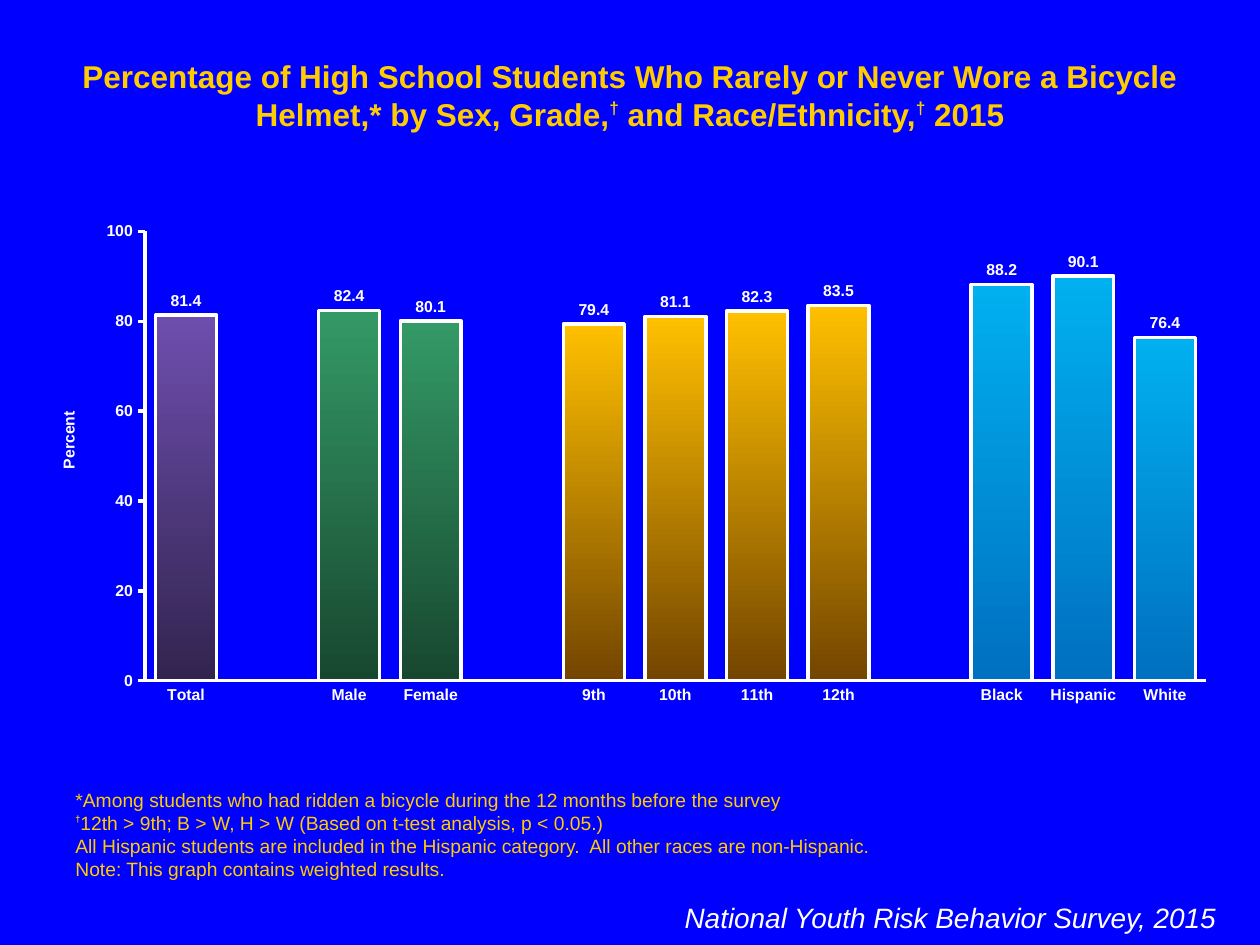
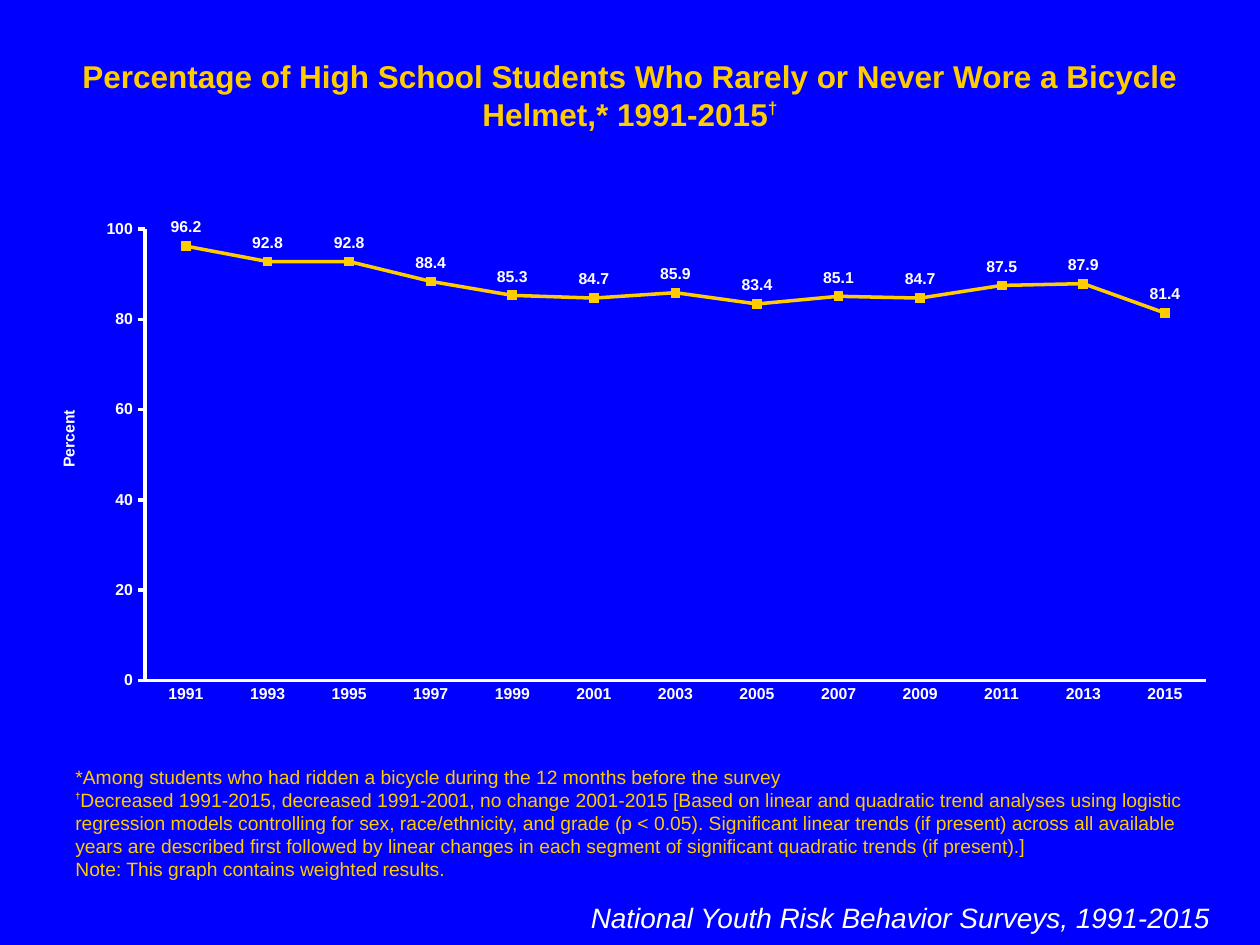
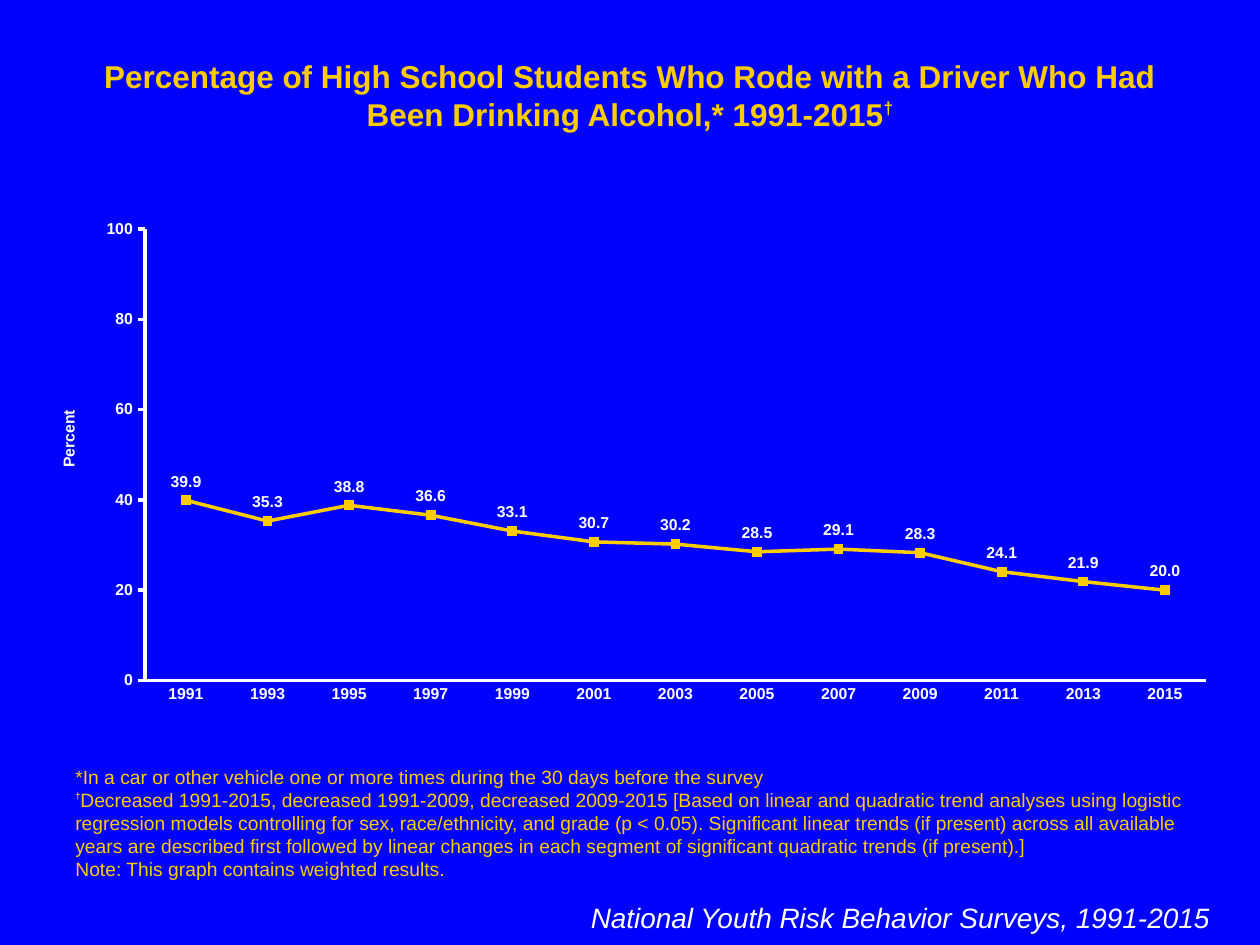
from pptx import Presentation
from pptx.chart.data import CategoryChartData
from pptx.dml.color import RGBColor
from pptx.enum.chart import (XL_CHART_TYPE, XL_LABEL_POSITION,
                             XL_MARKER_STYLE, XL_TICK_MARK)
from pptx.enum.text import MSO_ANCHOR, MSO_AUTO_SIZE, PP_ALIGN
from pptx.oxml import parse_xml
from pptx.oxml.ns import nsdecls, qn
from pptx.util import Pt

BLUE = RGBColor(0x00, 0x00, 0xFF)
GOLD = RGBColor(0xFF, 0xCC, 0x00)
WHITE = RGBColor(0xFF, 0xFF, 0xFF)
PURPLE = RGBColor(0x6E, 0x4E, 0xAE), RGBColor(0x32, 0x24, 0x4F)
GREEN = RGBColor(0x33, 0x99, 0x66), RGBColor(0x18, 0x47, 0x2F)
AMBER = RGBColor(0xFF, 0xC0, 0x00), RGBColor(0x73, 0x45, 0x00)
SKY = RGBColor(0x00, 0xB0, 0xF0), RGBColor(0x00, 0x70, 0xC0)

COLUMN = XL_CHART_TYPE.COLUMN_CLUSTERED
LINE = XL_CHART_TYPE.LINE_MARKERS
ABOVE = XL_LABEL_POSITION.ABOVE
OUTER = XL_LABEL_POSITION.OUTSIDE_END
SQUARE = XL_MARKER_STYLE.SQUARE
NO_TICK, OUT_TICK = XL_TICK_MARK.NONE, XL_TICK_MARK.OUTSIDE
TOP, BOTTOM = MSO_ANCHOR.TOP, MSO_ANCHOR.BOTTOM
GROW = MSO_AUTO_SIZE.SHAPE_TO_FIT_TEXT
CENTER, RIGHT = PP_ALIGN.CENTER, PP_ALIGN.RIGHT

FONT = "Arial"
TITLE_BOX = 36, 28.8, 648, 28.8
NOTE_BOX = 36, 486, 648, 20.88
BAR_BOX = 18, 121.68, 684, 286.56
LINE_BOX = 18, 120.24, 684, 288
BAR_SOURCE = 306, 511.2, 396, 26.64
LINE_SOURCE = 326.2, 511.2, 372.2, 26.64

GROUPS = [
    (PURPLE, [("Total", 81.4)]),
    (GREEN, [("Male", 82.4), ("Female", 80.1)]),
    (AMBER, [("9th", 79.4), ("10th", 81.1), ("11th", 82.3), ("12th", 83.5)]),
    (SKY, [("Black", 88.2), ("Hispanic", 90.1), ("White", 76.4)]),
]
YEARS = [str(year) for year in range(1991, 2016, 2)]
HELMET = [96.2, 92.8, 92.8, 88.4, 85.3, 84.7, 85.9,
          83.4, 85.1, 84.7, 87.5, 87.9, 81.4]
DRIVER = [39.9, 35.3, 38.8, 36.6, 33.1, 30.7, 30.2,
          28.5, 29.1, 28.3, 24.1, 21.9, 20.0]

HEAD = "Percentage of High School Students Who "
WORE = HEAD + "Rarely or Never Wore a Bicycle Helmet,* "
RODE = HEAD + "Rode with a Driver Who Had Been Drinking Alcohol,* "
RIDERS = ("*Among students who had ridden a bicycle during "
          "the 12 months before the survey")
CAR = ("*In a car or other vehicle one or more times during "
       "the 30 days before the survey")
WEIGHTED = "Note: This graph contains weighted results."
METHOD = (" [Based on linear and quadratic trend analyses using logistic "
          "regression models controlling for sex, race/ethnicity, and grade "
          "(p < 0.05). Significant linear trends (if present) across all "
          "available years are described first followed by linear changes in "
          "each segment of significant quadratic trends (if present).]")


def style(font, size, color, bold=False, italic=False):
    font.name = FONT
    font.size = Pt(size)
    font.color.rgb = color
    font.bold = bold
    font.italic = italic


def add_run(para, text, size, bold, base=0):
    run = para.add_run()
    run.text = text
    style(run.font, size, GOLD, bold)
    if base:
        run._r.get_or_add_rPr().set("baseline", str(base * 1000))


def write(para, text, size, bold, mark_size, base):
    if "†" not in text:
        para.text = text
        style(para.font, size, GOLD, bold)
        return
    for i, part in enumerate(text.split("†")):
        if i:
            add_run(para, "†", mark_size, True, base)
        if part:
            add_run(para, part, size, bold)


def add_title(slide, box, text):
    title = slide.shapes.title
    title.left, title.top, title.width, title.height = map(Pt, box)
    frame = title.text_frame
    frame.vertical_anchor = TOP
    frame.auto_size = GROW
    para = frame.paragraphs[0]
    para.alignment = CENTER
    write(para, text, 18, True, 17, 40)


def add_box(slide, box):
    frame = slide.shapes.add_textbox(*map(Pt, box)).text_frame
    frame.word_wrap = True
    frame.auto_size = GROW
    return frame


def add_notes(slide, box, lines):
    frame = add_box(slide, box)
    frame.vertical_anchor = BOTTOM
    for i, line in enumerate(lines):
        para = frame.add_paragraph() if i else frame.paragraphs[0]
        write(para, line, 11, False, 9, 50)


def add_source(slide, box, text):
    para = add_box(slide, box).paragraphs[0]
    para.text = text
    para.alignment = RIGHT
    style(para.font, 16, WHITE, italic=True)


def set_layout(parent, index, inner="", **parts):
    for old in parent.findall(qn("c:layout")):
        parent.remove(old)
    modes = "".join(f'<c:{k}Mode val="edge"/>' for k in "xy")
    sizes = "".join(f'<c:{k} val="{v}"/>' for k, v in parts.items())
    parent.insert(index, parse_xml(
        f'<c:layout {nsdecls("c")}><c:manualLayout>'
        f'{inner}{modes}{sizes}</c:manualLayout></c:layout>'))


def set_axis(axis, tick):
    axis.has_major_gridlines = False
    axis.major_tick_mark = tick
    axis.minor_tick_mark = NO_TICK
    axis.format.line.color.rgb = WHITE
    axis.format.line.width = Pt(2)
    style(axis.tick_labels.font, 9, WHITE, True)


def add_chart(slide, box, kind, names, values, spot):
    data = CategoryChartData()
    data.categories = names
    data.add_series("Series 1", values)
    chart = slide.shapes.add_chart(kind, *map(Pt, box), data).chart
    chart.has_title = chart.has_legend = False
    style(chart.font, 18, WHITE)
    set_axis(chart.category_axis, NO_TICK)
    axis = chart.value_axis
    set_axis(axis, OUT_TICK)
    axis.minimum_scale, axis.maximum_scale, axis.major_unit = 0, 100, 20
    axis.tick_labels.number_format = "#,##0"
    axis.tick_labels.number_format_is_linked = False
    para = axis.axis_title.text_frame.paragraphs[0]
    para.text = "Percent"
    style(para.font, 9, WHITE, True)
    area = chart._chartSpace.find(".//" + qn("c:plotArea"))
    title = area.find(".//" + qn("c:title"))
    title.find(".//" + qn("a:bodyPr")).set("rot", "-5400000")
    set_layout(title, 1, x=0.02, y=0.39)
    set_layout(area, 0, '<c:layoutTarget val="inner"/>',
               x=0.095, y=0.037, w=0.886, h=0.896)
    plot = chart.plots[0]
    plot.vary_by_categories = False
    plot.has_data_labels = True
    labels = plot.data_labels
    labels.show_value = True
    labels.number_format = "#,##0.0"
    labels.number_format_is_linked = False
    labels.position = spot
    style(labels.font, 9, WHITE, True)
    return plot


def add_bars(slide, box):
    bars = []
    for shade, group in GROUPS:
        if bars:
            bars.append(("", None, None))
        bars += [(name, value, shade) for name, value in group]
    names, values, shades = zip(*bars)
    plot = add_chart(slide, box, COLUMN, names, values, OUTER)
    plot.gap_width, plot.overlap = 34, 100
    series = plot.series[0]
    series.invert_if_negative = False
    for i, shade in enumerate(shades):
        if shade:
            form = series.points[i].format
            form.fill.gradient()
            form.fill.gradient_angle = 270
            for stop, color in zip(form.fill.gradient_stops, shade):
                stop.color.rgb = color
            form.line.color.rgb = WHITE
            form.line.width = Pt(2)


def add_trend(slide, box, values):
    series = add_chart(slide, box, LINE, YEARS, values, ABOVE).series[0]
    series.smooth = False
    series.format.line.color.rgb = GOLD
    series.format.line.width = Pt(2)
    mark = series.marker
    mark.style, mark.size = SQUARE, 5
    mark.format.fill.solid()
    mark.format.fill.fore_color.rgb = GOLD
    mark.format.line.color.rgb = GOLD


def add_slide(deck, title, notes, box, source):
    slide = deck.slides.add_slide(deck.slide_layouts[5])
    add_title(slide, TITLE_BOX, title)
    add_notes(slide, NOTE_BOX, notes + [WEIGHTED])
    add_source(slide, box, source)
    return slide


def add_trend_slide(deck, title, note, change, values):
    slide = add_slide(deck, title + "1991-2015†",
                      [note, "†Decreased 1991-2015, " + change + METHOD],
                      LINE_SOURCE,
                      "National Youth Risk Behavior Surveys, 1991-2015")
    add_trend(slide, LINE_BOX, values)


def main():
    deck = Presentation()
    deck.slide_width, deck.slide_height = Pt(720), Pt(540)
    fill = deck.slide_master.background.fill
    fill.solid()
    fill.fore_color.rgb = BLUE
    slide = add_slide(
        deck, WORE + "by Sex, Grade,† and Race/Ethnicity,† 2015",
        [RIDERS,
         "†12th > 9th; B > W, H > W (Based on t-test analysis, p < 0.05.)",
         "All Hispanic students are included in the Hispanic category.  "
         "All other races are non-Hispanic."],
        BAR_SOURCE, "National Youth Risk Behavior Survey, 2015")
    add_bars(slide, BAR_BOX)
    add_trend_slide(deck, WORE, RIDERS,
                    "decreased 1991-2001, no change 2001-2015", HELMET)
    add_trend_slide(deck, RODE, CAR,
                    "decreased 1991-2009, decreased 2009-2015", DRIVER)
    deck.save("out.pptx")


if __name__ == "__main__":
    main()
